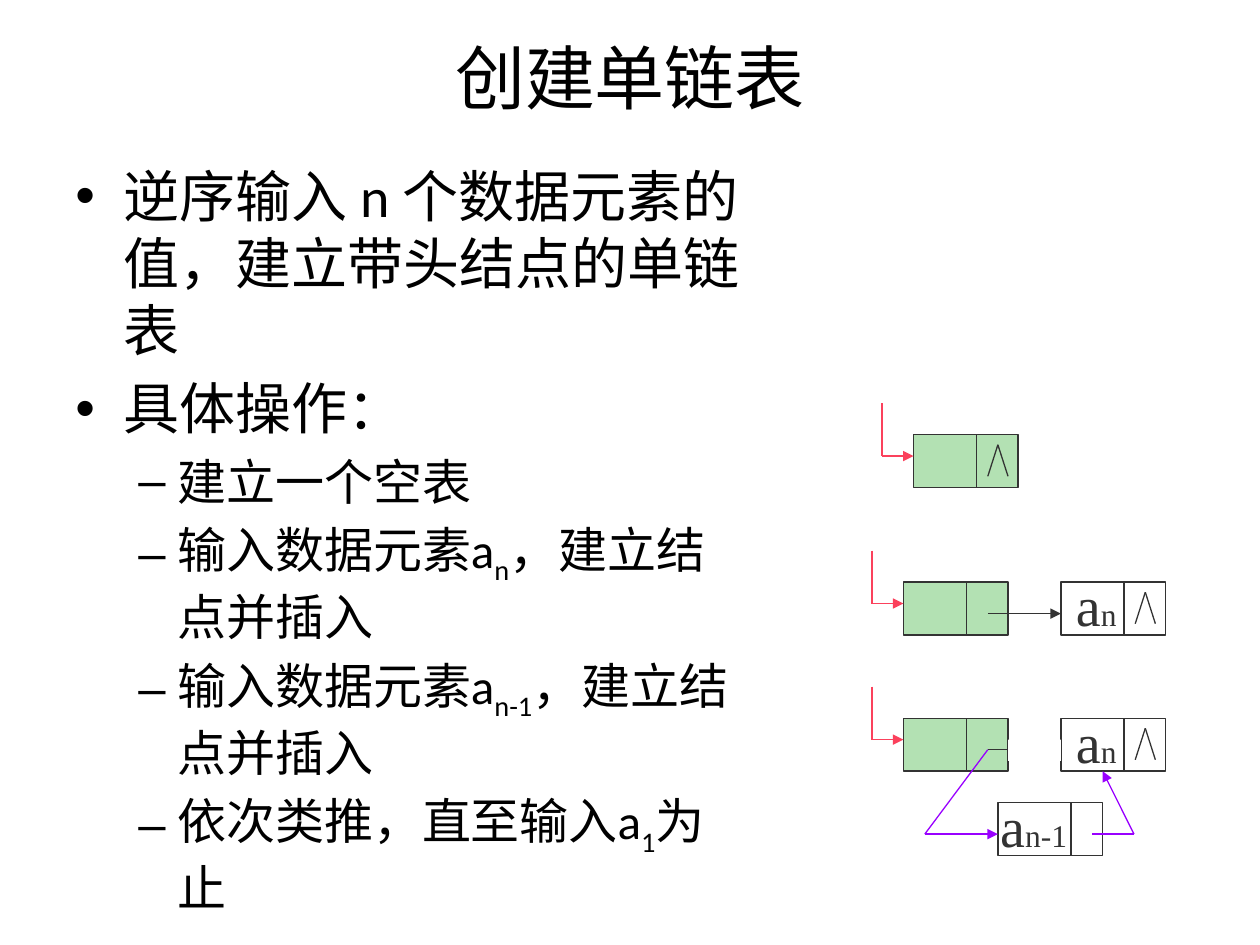
from lxml import etree
from pptx import Presentation
from pptx import util as u
from pptx.dml.color import RGBColor
from pptx.enum import shapes, text
from pptx.oxml.ns import qn

INK, RED, PURPLE, GREEN = "333333", "FB415C", "9900FF", "B3E1B3"
NODE_W, NODE_H = 0.83, 0.42

prs = Presentation()
prs.slide_width, prs.slide_height = u.Inches(10), u.Inches(7.5)
s = prs.slides.add_slide(prs.slide_layouts[5])


def add_line(x1, y1, x2, y2, color=INK, arrow=False):
    c = s.shapes.add_connector(shapes.MSO_CONNECTOR.STRAIGHT, u.Inches(x1),
                               u.Inches(y1), u.Inches(x2), u.Inches(y2))
    c.line.color.rgb = RGBColor.from_string(color)
    c.line.width = u.Pt(0.75)
    if arrow:
        ln = c.line._get_or_add_ln()
        etree.SubElement(ln, qn("a:tailEnd"), type="triangle")
    etree.SubElement(c._element.spPr, qn("a:effectLst"))


def add_runs(p, parts, size, font, color, sub_size=None):
    """Every second part is a subscript, either lowered or just smaller."""
    for i, part in enumerate(parts):
        r = p.add_run()
        r.text = part
        r.font.size = u.Pt(sub_size if sub_size and i % 2 else size)
        r.font.name = font
        r.font.color.rgb = RGBColor.from_string(color)
        if i % 2 and not sub_size:
            r.font._element.set("baseline", "-25000")


# Title
title = s.shapes.title
title.left, title.top = u.Inches(0.5), u.Inches(0.06)
title.width, title.height = u.Inches(9), u.Inches(1.09)
tf = title.text_frame
tf.vertical_anchor = text.MSO_ANCHOR.MIDDLE
tf.paragraphs[0].alignment = text.PP_ALIGN.CENTER
add_runs(tf.paragraphs[0], ["创建单链表"], 40, "Calibri", "000000")

# Bulleted steps
body = s.shapes.add_textbox(u.Inches(0.5), u.Inches(1.23), u.Inches(5.5), u.Inches(6.14))
tf = body.text_frame
tf.word_wrap = True
steps = [
    (0, ["逆序输入 n 个数据元素的值，建立带头结点的单链表"]),
    (0, ["具体操作："]),
    (1, ["建立一个空表"]),
    (1, ["输入数据元素a", "n", "，建立结点并插入"]),
    (1, ["输入数据元素a", "n-1", "，建立结点并插入"]),
    (1, ["依次类推，直至输入a", "1", "为止"]),
]
levels = [(32, 0.38, -0.38, "•"), (28, 0.81, -0.31, "–")]
for i, (level, parts) in enumerate(steps):
    size, margin, indent, bullet = levels[level]
    p = tf.add_paragraph() if i else tf.paragraphs[0]
    p.level = level
    if i:
        p.space_before = u.Pt(size * 0.2)
    pPr = p._p.get_or_add_pPr()
    pPr.set("marL", str(u.Inches(margin)))
    pPr.set("indent", str(u.Inches(indent)))
    etree.SubElement(pPr, qn("a:buFont"), typeface="Arial")
    etree.SubElement(pPr, qn("a:buChar"), char=bullet)
    add_runs(p, parts, size, "Calibri", "000000")

# List nodes: left, top, divider offset, fill, head pointer, null mark
nodes = [
    (7.25, 3.45, 0.5, GREEN, True, True),
    (7.17, 4.62, 0.5, GREEN, True, False),
    (8.42, 4.62, 0.5, None, False, True),
    (7.17, 5.7, 0.5, GREEN, True, False),
    (8.42, 5.7, 0.5, None, False, True),
    (7.92, 6.37, 0.58, None, False, False),
]
for x, y, split, fill, is_head, is_last in nodes:
    sp = s.shapes.add_shape(shapes.MSO_SHAPE.RECTANGLE, u.Inches(x), u.Inches(y),
                            u.Inches(NODE_W), u.Inches(NODE_H))
    sp.shadow.inherit = False
    if fill:
        sp.fill.solid()
        sp.fill.fore_color.rgb = RGBColor.from_string(fill)
    else:
        sp.fill.background()
    sp.line.color.rgb = RGBColor.from_string(INK)
    sp.line.width = u.Pt(0.75)
    add_line(x + split, y, x + split, y + NODE_H)
    if is_head:
        add_line(x - 0.25, y - 0.25, x - 0.25, y + 0.17, RED)
        add_line(x - 0.25, y + 0.17, x, y + 0.17, RED, arrow=True)
    if is_last:
        for foot in (0.59, 0.75):
            add_line(x + 0.67, y + 0.08, x + foot, y + 0.33)

# Node labels: left, top, width, subscript
for x, y, width, sub in [(8.44, 4.48, 0.52, "n"), (8.44, 5.57, 0.52, "n"),
                         (7.84, 6.23, 0.73, "n-1")]:
    box = s.shapes.add_textbox(u.Inches(x), u.Inches(y), u.Inches(width), u.Inches(0.63))
    tf = box.text_frame
    tf.word_wrap = False
    tf.auto_size = text.MSO_AUTO_SIZE.SHAPE_TO_FIT_TEXT
    add_runs(tf.paragraphs[0], ["a", sub], 32, "Times New Roman", INK, sub_size=18)

# Links from the head node to a_n
for y in (4.87, 5.95):
    add_line(7.84, y, 8.42, y, arrow=True)

# New links through the inserted node
add_line(8.67, 6.62, 9, 6.62, PURPLE)
add_line(9, 6.62, 8.75, 6.12, PURPLE, arrow=True)
add_line(7.84, 5.95, 7.34, 6.62, PURPLE)
add_line(7.34, 6.62, 7.92, 6.62, PURPLE, arrow=True)

# White patch that breaks the old link
patch = s.shapes.add_shape(shapes.MSO_SHAPE.RECTANGLE, u.Inches(8), u.Inches(5.87),
                           u.Inches(0.42), u.Inches(0.17))
patch.shadow.inherit = False
patch.fill.solid()
patch.fill.fore_color.rgb = RGBColor.from_string("FFFFFF")
patch.line.fill.background()

prs.save("out.pptx")
